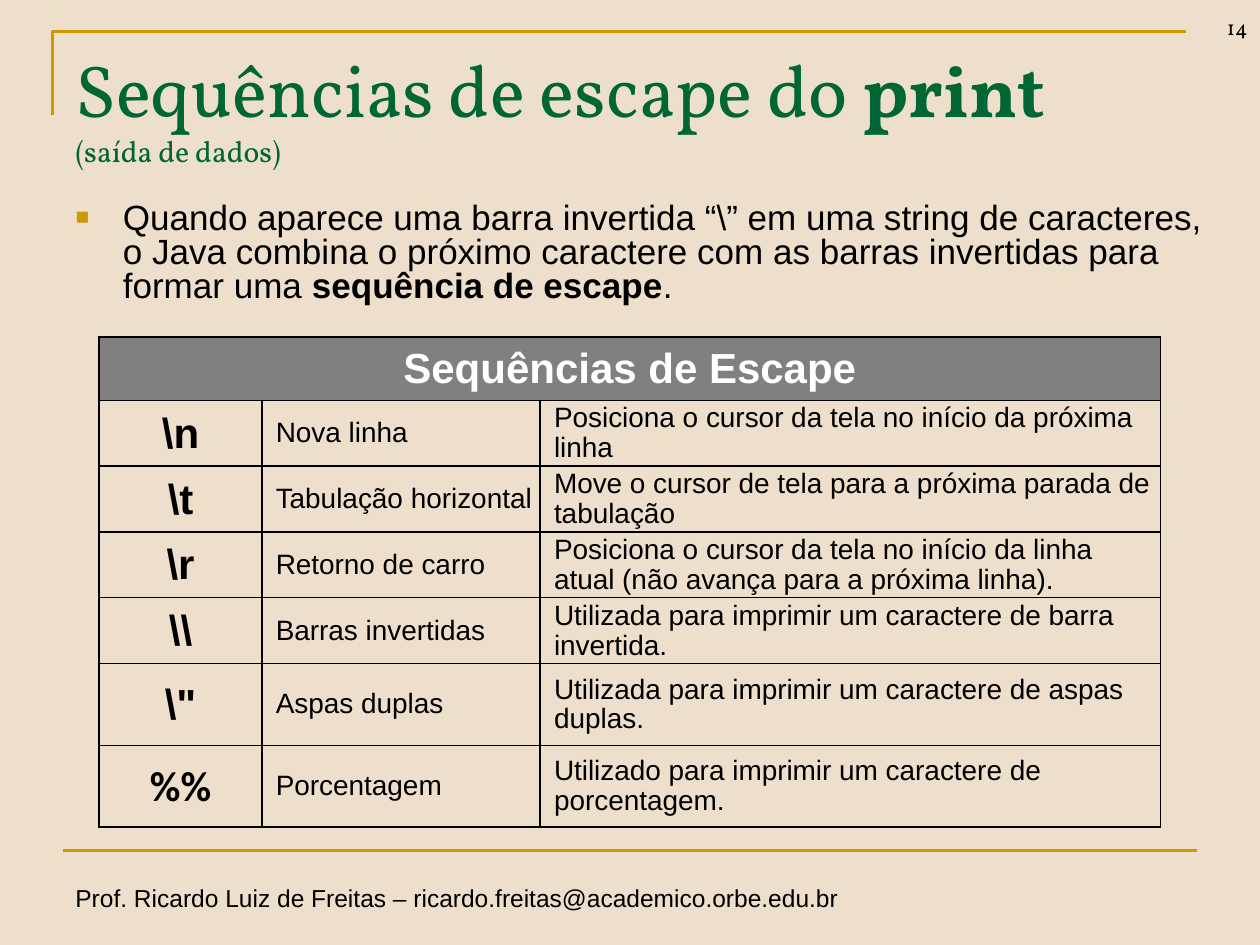
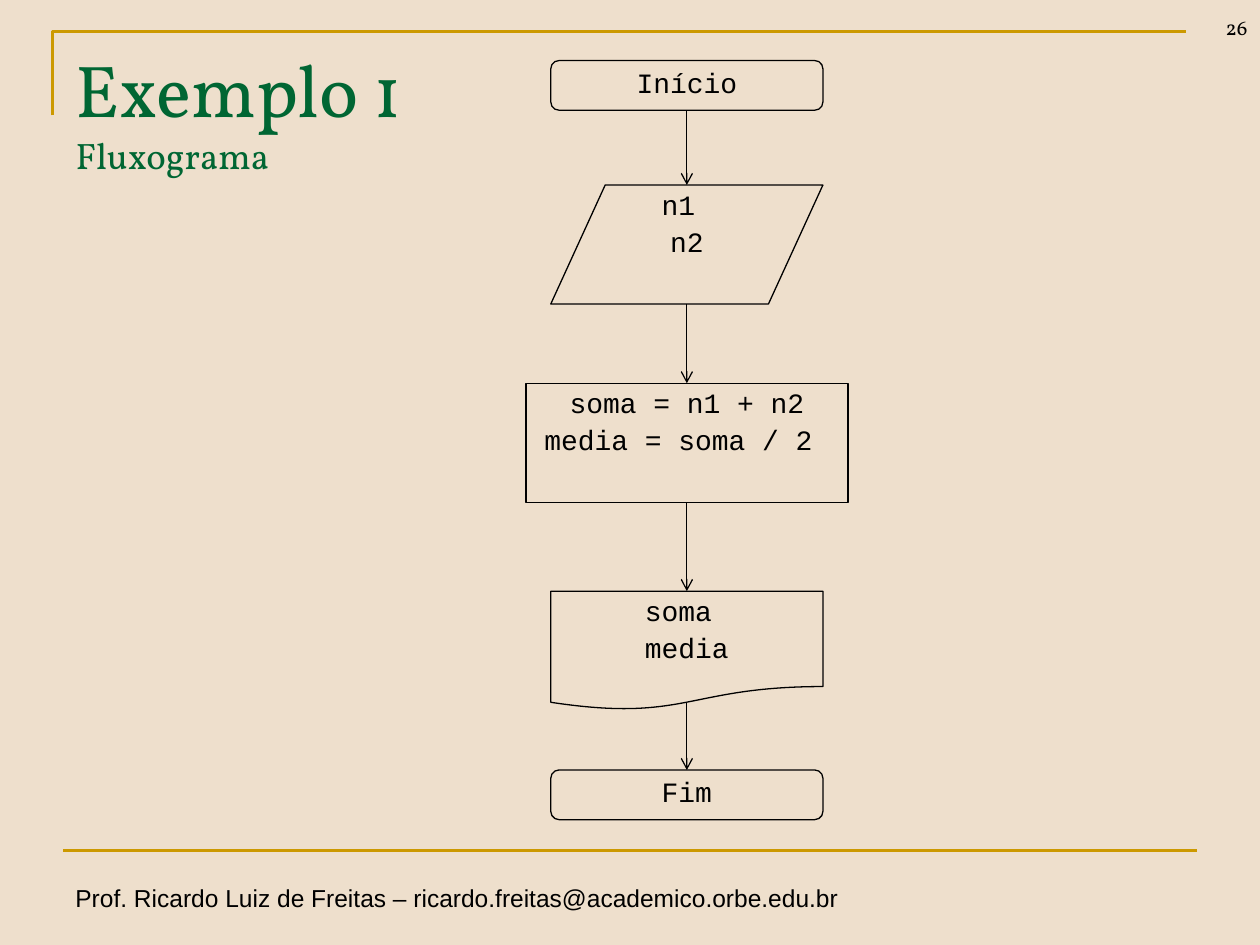
from dataclasses import dataclass

from lxml import etree
from pptx import Presentation
from pptx.dml.color import RGBColor
from pptx.enum import shapes, text
from pptx.oxml import ns
from pptx.util import Pt


@dataclass(frozen=True)
class Theme:
    background: str = "EEDFCC"
    gold: str = "CC9900"
    green: str = "006633"
    black: str = "000000"
    white: str = "FFFFFF"
    gray: str = "808080"
    serif: str = "Vollkorn"
    sans: str = "Arial"
    mono: str = "Courier New"
    symbol: str = "Calibri"
    title: float = 42
    heading: float = 24
    body: float = 20
    small: float = 16
    footer: float = 14
    number: float = 12
    rule: float = 1.5
    thin: float = 0.75


THEME = Theme()
FOOTER = "Prof. Ricardo Luiz de Freitas – ricardo.freitas@academico.orbe.edu.br"
MARGIN = 36

ESCAPES = [
    ("\\n", "Nova linha", "Posiciona o cursor da tela no início da próxima linha"),
    ("\\t", "Tabulação horizontal",
     "Move o cursor de tela para a próxima parada de tabulação"),
    ("\\r", "Retorno de carro",
     "Posiciona o cursor da tela no início da linha atual "
     "(não avança para a próxima linha)."),
    ("\\\\", "Barras invertidas",
     "Utilizada para imprimir um caractere de barra invertida."),
    ('\\"', "Aspas duplas", "Utilizada para imprimir um caractere de aspas duplas."),
    ("%%", "Porcentagem", "Utilizado para imprimir um caractere de porcentagem."),
]
COLUMN_WIDTHS = [93, 159, 354.5]
ROW_HEIGHTS = [29.5, 28, 31, 29.5, 28, 46.8, 46.8]

FLOW_CENTER = 392.5
FLOW_STEPS = [
    ("FLOWCHART_ALTERNATE_PROCESS", 34.6, 155.5, 28.4, 0, ["Início"]),
    ("FLOWCHART_DATA", 105.7, 155.5, 68, 0, ["n1 ", "n2"]),
    ("FLOWCHART_PROCESS", 219, 184, 68, 0, ["soma = n1 + n2", "media = soma / 2 "]),
    ("FLOWCHART_DOCUMENT", 337.8, 155.5, 68, 4, ["soma ", "media"]),
    ("FLOWCHART_ALTERNATE_PROCESS", 440, 155.5, 28.4, 0, ["Fim"]),
]


def rgb(color):
    return RGBColor.from_string(color)


def add_xml(parent, tag, **attributes):
    return etree.SubElement(parent, ns.qn(tag), attributes)


def style_run(run, font, size, color=THEME.black, bold=False):
    run.font.name = font
    run.font.size = Pt(size)
    run.font.color.rgb = rgb(color)
    run.font.bold = bold


def style_frame(frame, font, size, color=THEME.black, bold=False, align=None):
    for paragraph in frame.paragraphs:
        paragraph.alignment = align
        for run in paragraph.runs:
            style_run(run, font, size, color, bold)


def add_run(paragraph, words, *style, **options):
    run = paragraph.add_run()
    run.text = words
    style_run(run, *style, **options)


def place(shape, left, top, width, height):
    shape.left, shape.top = Pt(left), Pt(top)
    shape.width, shape.height = Pt(width), Pt(height)


def style_line(line, color, width):
    line.color.rgb = rgb(color)
    line.width = Pt(width)


def add_line(slide, start, end, color, width, arrow=False):
    connector = slide.shapes.add_connector(
        shapes.MSO_CONNECTOR.STRAIGHT, *map(Pt, (*start, *end)))
    style_line(connector.line, color, width)
    properties = connector._element.spPr
    if arrow:
        add_xml(properties.find(ns.qn("a:ln")), "a:tailEnd", type="arrow")
    add_xml(properties, "a:effectLst")


def add_text(slide, box, words, font, size, align=None, anchor=None, wrap=True):
    frame = slide.shapes.add_textbox(*map(Pt, box)).text_frame
    frame.text = words
    frame.word_wrap = wrap
    frame.vertical_anchor = anchor
    style_frame(frame, font, size, align=align)


def add_frame(slide, number):
    builder = slide.shapes.build_freeform(Pt(30), Pt(66))
    builder.add_line_segments([(Pt(30), Pt(18)), (Pt(678), Pt(18))], close=False)
    corner = builder.convert_to_shape()
    corner.shadow.inherit = False
    corner.fill.background()
    style_line(corner.line, THEME.gold, THEME.rule)
    add_line(slide, (MARGIN, 486), (684, 486), THEME.gold, THEME.rule)
    add_text(slide, (MARGIN, 501, 459, 24.5), FOOTER, THEME.sans, THEME.footer,
             wrap=False)
    add_text(slide, (666, 0, 54, 26), number, THEME.serif, THEME.number,
             text.PP_ALIGN.RIGHT, text.MSO_ANCHOR.BOTTOM)


def add_title(slide, words, emphasis, subtitle, subtitle_size):
    title = slide.shapes.title
    place(title, MARGIN, 21.6, 648, 90)
    frame = title.text_frame
    frame.auto_size = text.MSO_AUTO_SIZE.NONE
    frame.vertical_anchor = text.MSO_ANCHOR.TOP
    paragraph = frame.paragraphs[0]
    paragraph.alignment = text.PP_ALIGN.LEFT
    add_run(paragraph, words, THEME.serif, THEME.title, THEME.green)
    if emphasis:
        add_run(paragraph, emphasis, THEME.serif, THEME.title, THEME.green, bold=True)
    paragraph.add_line_break()
    add_run(paragraph, subtitle, THEME.serif, subtitle_size, THEME.green)


def add_bullet(slide, pieces):
    body = slide.placeholders[1]
    place(body, MARGIN, 113, 659, 65.5)
    body.text_frame.auto_size = text.MSO_AUTO_SIZE.NONE
    paragraph = body.text_frame.paragraphs[0]
    paragraph.line_spacing = 0.8
    paragraph.space_before = Pt(4)
    for words, bold in pieces:
        add_run(paragraph, words, THEME.sans, THEME.body, bold=bold)
    properties = paragraph._p.get_or_add_pPr()
    properties.set("marL", str(Pt(27)))
    properties.set("indent", str(Pt(-27)))
    add_xml(add_xml(properties, "a:buClr"), "a:srgbClr", val=THEME.gold)
    add_xml(properties, "a:buSzPct", val="65000")
    add_xml(properties, "a:buFont", typeface=THEME.sans)
    add_xml(properties, "a:buChar", char="■")


def add_borders(cell):
    properties = cell._tc.get_or_add_tcPr()
    for side in ("a:lnL", "a:lnR", "a:lnT", "a:lnB"):
        border = add_xml(properties, side, w=str(Pt(1)))
        add_xml(add_xml(border, "a:solidFill"), "a:srgbClr", val=THEME.black)


def fill_body_cell(cell, words, column):
    cell.text = words
    cell.vertical_anchor = text.MSO_ANCHOR.MIDDLE
    cell.margin_left = cell.margin_right = cell.margin_top = Pt(0.72)
    cell.margin_bottom = Pt(0)
    cell.fill.background()
    if column == 0:
        font = THEME.symbol if words == "%%" else THEME.sans
        style_frame(cell.text_frame, font, THEME.heading, bold=True,
                    align=text.PP_ALIGN.CENTER)
    else:
        style_frame(cell.text_frame, THEME.sans, THEME.small)
        paragraph = cell.text_frame.paragraphs[0]
        paragraph.line_spacing = 0.96
        paragraph._p.get_or_add_pPr().set("marL", str(Pt(7.2)))


def add_escape_table(slide, heading):
    frame = slide.shapes.add_table(
        len(ROW_HEIGHTS), len(COLUMN_WIDTHS), Pt(56.7), Pt(192.7),
        Pt(sum(COLUMN_WIDTHS)), Pt(sum(ROW_HEIGHTS)))
    table = frame.table
    table.first_row = table.horz_banding = False
    for column, width in zip(table.columns, COLUMN_WIDTHS):
        column.width = Pt(width)
    for row, height in zip(table.rows, ROW_HEIGHTS):
        row.height = Pt(height)
    for cell in table.iter_cells():
        add_borders(cell)

    header = table.cell(0, 0)
    header.merge(table.cell(0, len(COLUMN_WIDTHS) - 1))
    header.text = heading
    header.vertical_anchor = text.MSO_ANCHOR.MIDDLE
    for column in range(len(COLUMN_WIDTHS)):
        fill = table.cell(0, column).fill
        fill.solid()
        fill.fore_color.rgb = rgb(THEME.gray)
    style_frame(header.text_frame, THEME.sans, THEME.heading, THEME.white, True,
                text.PP_ALIGN.CENTER)
    for row, escape in enumerate(ESCAPES, start=1):
        for column, words in enumerate(escape):
            fill_body_cell(table.cell(row, column), words, column)


def add_step(slide, kind, top, width, height, lines):
    shape = slide.shapes.add_shape(
        shapes.MSO_SHAPE[kind], Pt(FLOW_CENTER - width / 2), Pt(top),
        Pt(width), Pt(height))
    shape.shadow.inherit = False
    shape.fill.background()
    style_line(shape.line, THEME.black, THEME.thin)
    frame = shape.text_frame
    frame.text = "\n".join(lines)
    frame.vertical_anchor = text.MSO_ANCHOR.TOP
    style_frame(frame, THEME.mono, THEME.small, align=text.PP_ALIGN.CENTER)
    for paragraph in frame.paragraphs:
        paragraph.line_spacing = 0.9
        paragraph.space_before = Pt(4)


def add_flowchart(slide):
    for kind, top, width, height, _, lines in FLOW_STEPS:
        add_step(slide, kind, top, width, height, lines)
    for step, following in zip(FLOW_STEPS, FLOW_STEPS[1:]):
        _, top, _, height, overlap, _ = step
        add_line(slide, (FLOW_CENTER, top + height - overlap),
                 (FLOW_CENTER, following[1]), THEME.black, THEME.thin, arrow=True)


def add_slide(presentation, layout, number):
    slide = presentation.slides.add_slide(presentation.slide_layouts[layout])
    add_frame(slide, number)
    return slide


def main():
    presentation = Presentation()
    presentation.slide_width, presentation.slide_height = Pt(720), Pt(540)
    background = presentation.slide_master.background.fill
    background.solid()
    background.fore_color.rgb = rgb(THEME.background)

    escapes = add_slide(presentation, 1, "14")
    add_title(escapes, "Sequências de escape do", " print", "(saída de dados)", 17)
    add_bullet(escapes, [
        ("Quando aparece uma barra invertida “\\” em uma string de caracteres, "
         "o Java combina o próximo caractere com as barras invertidas para "
         "formar uma ", False),
        ("sequência de escape", True),
        (".", False),
    ])
    add_escape_table(escapes, "Sequências de Escape")

    example = add_slide(presentation, 5, "26")
    add_title(example, "Exemplo 1 ", "", "Fluxograma", 21)
    add_flowchart(example)

    presentation.save("out.pptx")


if __name__ == "__main__":
    main()
